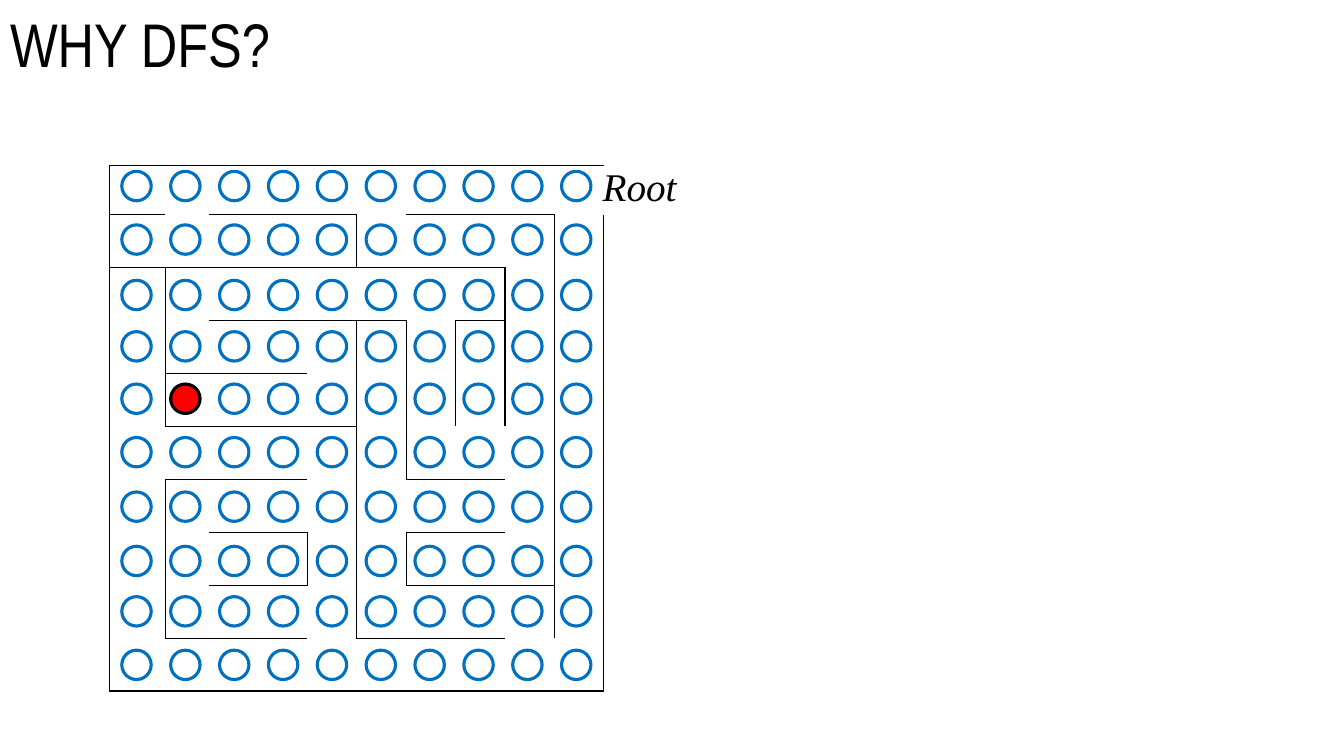
from dataclasses import dataclass
from itertools import product

from lxml.etree import SubElement
from pptx import Presentation
from pptx.dml.color import RGBColor
from pptx.enum.shapes import MSO_SHAPE as Shape
from pptx.enum.text import MSO_ANCHOR as Anchor, MSO_AUTO_SIZE as AutoSize, PP_ALIGN as Align
from pptx.oxml.ns import qn
from pptx.util import Pt


@dataclass(frozen=True)
class Theme:
    black: str = "000000"
    white: str = "FFFFFF"
    blue: str = "0070C0"
    red: str = "FF0000"
    title_font: str = "Arial Narrow"
    label_font: str = "Times New Roman"
    title_size: float = 44
    label_size: float = 28
    wall_width: float = 1
    node_width: float = 2.25


COLUMN_WIDTHS = [40, 30.75] + [35.3] * 8
ROW_HEIGHTS = [35.5] + [37.8] * 9
NODE_LEFT, NODE_STEP, NODE_SIZE = 87, 34.9, 21
NODE_TOPS = [122.4, 160.6, 200.2, 236.9, 274.3, 312.5, 351.4, 390.2, 426.2, 464.4]
GOAL = (4, 1)

# Each key is a grid line; each pair is the first and last crossing of a wall.
HORIZONTAL_WALLS = {
    0: [(0, 10)],
    1: [(0, 1), (2, 5), (6, 9)],
    2: [(0, 8)],
    3: [(2, 6), (7, 8)],
    4: [(1, 4)],
    5: [(1, 5)],
    6: [(1, 4), (6, 8)],
    7: [(2, 4), (6, 8)],
    8: [(2, 4), (6, 9)],
    9: [(1, 4), (5, 8)],
    10: [(0, 10)],
}
VERTICAL_WALLS = {
    0: [(0, 10)],
    1: [(2, 5), (6, 9)],
    4: [(7, 8)],
    5: [(1, 2), (3, 9)],
    6: [(3, 6), (7, 8)],
    7: [(3, 5)],
    8: [(2, 5)],
    9: [(1, 9)],
    10: [(1, 10)],
}


def has_wall(walls, line, position):
    return any(first <= position < last for first, last in walls.get(line, []))


def format_text(frame, text, *, font, size, color, italic=False, line_spacing=None):
    paragraph = frame.paragraphs[0]
    paragraph.alignment = Align.LEFT
    paragraph.line_spacing = line_spacing
    run = paragraph.add_run()
    run.text = text
    run.font.name = font
    run.font.size = Pt(size)
    run.font.italic = italic
    run.font.color.rgb = RGBColor.from_string(color)


class SlideBuilder:
    def __init__(self, slide, theme):
        self.slide = slide
        self.theme = theme

    def title(self, text, left, top, width, height):
        shape = self.slide.shapes.title
        shape.left, shape.top, shape.width, shape.height = map(Pt, (left, top, width, height))
        frame = shape.text_frame
        frame.auto_size = AutoSize.NONE
        frame.vertical_anchor = Anchor.MIDDLE
        format_text(frame, text, font=self.theme.title_font, size=self.theme.title_size,
                    color=self.theme.black, line_spacing=0.9)

    def border(self, cell, side, visible):
        line = SubElement(cell._tc.get_or_add_tcPr(), qn(f"a:ln{side}"),
                          w=str(Pt(self.theme.wall_width)))
        if visible:
            fill = SubElement(line, qn("a:solidFill"))
            SubElement(fill, qn("a:srgbClr"), val=self.theme.black)
        else:
            SubElement(line, qn("a:noFill"))

    def maze(self, left, top):
        frame = self.slide.shapes.add_table(
            len(ROW_HEIGHTS), len(COLUMN_WIDTHS), Pt(left), Pt(top),
            Pt(sum(COLUMN_WIDTHS)), Pt(sum(ROW_HEIGHTS)))
        table = frame.table
        table.first_row = table.horz_banding = False
        for column, width in zip(table.columns, COLUMN_WIDTHS):
            column.width = Pt(width)
        for row, height in zip(table.rows, ROW_HEIGHTS):
            row.height = Pt(height)
        for row, column in product(range(len(ROW_HEIGHTS)), range(len(COLUMN_WIDTHS))):
            cell = table.cell(row, column)
            self.border(cell, "L", has_wall(VERTICAL_WALLS, column, row))
            self.border(cell, "R", has_wall(VERTICAL_WALLS, column + 1, row))
            self.border(cell, "T", has_wall(HORIZONTAL_WALLS, row, column))
            self.border(cell, "B", has_wall(HORIZONTAL_WALLS, row + 1, column))
            cell.fill.background()

    def node(self, left, top, fill, line):
        shape = self.slide.shapes.add_shape(
            Shape.OVAL, Pt(left), Pt(top), Pt(NODE_SIZE), Pt(NODE_SIZE))
        shape.shadow.inherit = False
        shape.fill.solid()
        shape.fill.fore_color.rgb = RGBColor.from_string(fill)
        shape.line.color.rgb = RGBColor.from_string(line)
        shape.line.width = Pt(self.theme.node_width)

    def label(self, text, left, top, width, height):
        shape = self.slide.shapes.add_textbox(Pt(left), Pt(top), Pt(width), Pt(height))
        frame = shape.text_frame
        frame.word_wrap = False
        frame.auto_size = AutoSize.SHAPE_TO_FIT_TEXT
        format_text(frame, text, font=self.theme.label_font, size=self.theme.label_size,
                    color=self.theme.black, italic=True)


def main():
    presentation = Presentation()
    presentation.slide_width, presentation.slide_height = Pt(960), Pt(540)
    theme = Theme()
    builder = SlideBuilder(presentation.slides.add_slide(presentation.slide_layouts[5]), theme)
    builder.title("WHY DFS?", 0, 0, 828, 67.7)
    builder.maze(78.2, 118)
    for (row, top), column in product(enumerate(NODE_TOPS), range(len(COLUMN_WIDTHS))):
        is_goal = (row, column) == GOAL
        builder.node(NODE_LEFT + column * NODE_STEP, top,
                     theme.red if is_goal else theme.white,
                     theme.black if is_goal else theme.blue)
    builder.label("Root", 423.4, 112.3, 67.7, 41)
    presentation.save("out.pptx")


if __name__ == "__main__":
    main()
